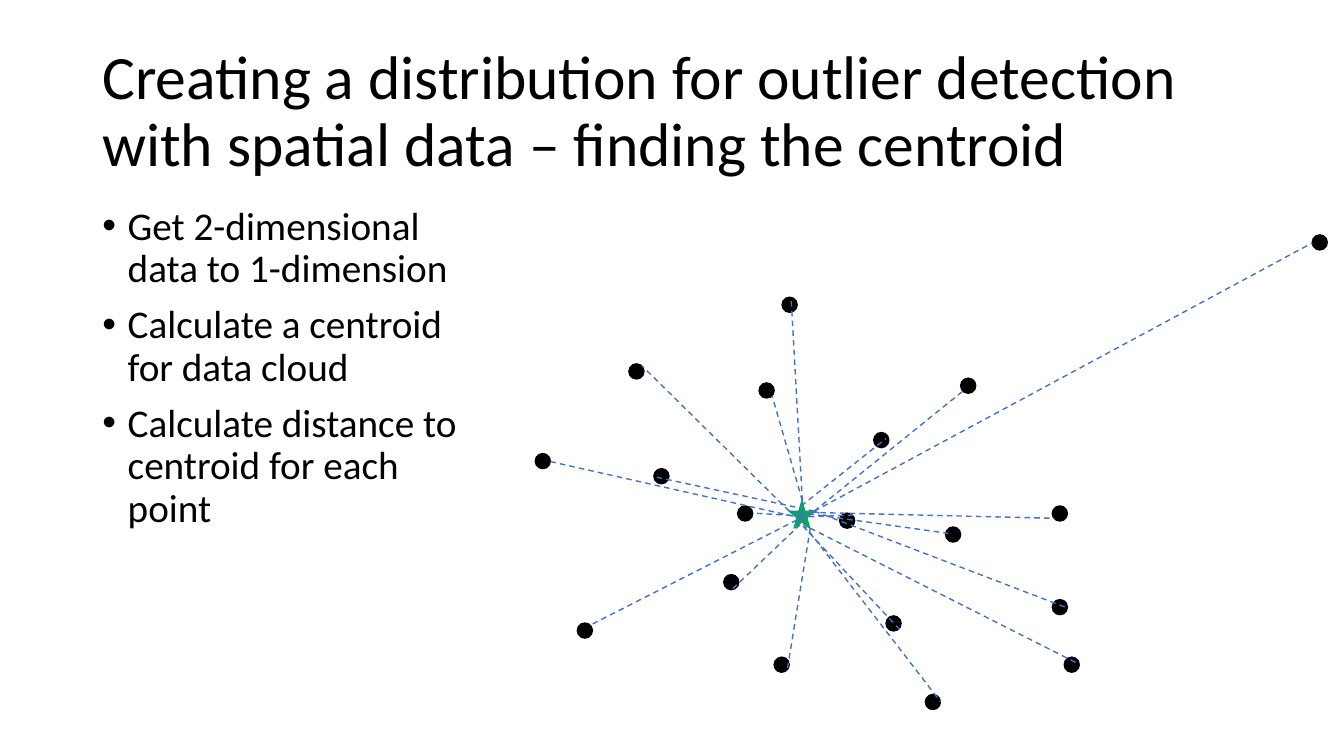
from lxml import etree
from pptx import Presentation
from pptx.dml.color import RGBColor
from pptx.enum.dml import MSO_LINE as Dash
from pptx.enum.shapes import MSO_CONNECTOR as Link, MSO_SHAPE as Shape
from pptx.enum.text import MSO_ANCHOR as Anchor
from pptx.oxml.ns import qn
from pptx.util import Cm, Pt

BLACK, GREEN, BLUE = "000000", "00B050", "4472C4"
DOT = 0.38
INDENT = 0.64

TITLE = ("Creating a distribution for outlier detection "
         "with spatial data – finding the centroid")
STEPS = [
    "Get 2-dimensional data to 1-dimension",
    "Calculate a centroid for data cloud",
    "Calculate distance to centroid for each point",
]

# Left and top of each data point, in cm
POINTS = [
    (14.55, 15.7), (13.49, 11.43), (22.02, 10.9), (18.59, 12.75),
    (22.33, 15.52), (23.83, 13.28), (24.21, 9.53), (26.52, 15.11),
    (18.24, 14.48), (15.85, 9.17), (19.51, 16.56), (19.71, 7.49),
    (19.13, 9.65), (23.32, 17.5), (21.16, 12.93), (26.52, 12.75),
    (26.82, 16.56), (33.07, 5.92), (16.48, 11.81),
]

# Centroid star: box and the tips where lines meet it
STAR = (19.89, 12.62, 0.64, 0.69)
TOP, LEFT, RIGHT, FOOT = (20.22, 12.62), (19.89, 12.88), (20.52, 12.88), (20.42, 13.31)

# Each distance line: end at the centroid, end at the data point
RAYS = [
    (TOP, (19.46, 9.98)), ((20.19, 12.75), (22.33, 11.05)),
    ((20.14, 13.03), (21.49, 12.98)), (FOOT, (19.84, 16.87)),
    (RIGHT, (18.44, 14.86)), ((20.19, 13), (18.97, 12.93)),
    (RIGHT, (24.26, 9.86)), (LEFT, (23.9, 13.44)),
    ((20.07, 13.08), (22.66, 15.85)), (RIGHT, (26.9, 15.32)),
    ((19.94, 12.9), (26.57, 13.06)), (FOOT, (27.2, 16.74)),
    ((20.09, 13), (23.7, 17.68)), (RIGHT, (14.88, 15.75)),
    (RIGHT, (16.48, 12.01)), ((20.22, 13.06), (13.87, 11.63)),
    (LEFT, (16.18, 9.22)), (TOP, (19.94, 7.57)), (RIGHT, (33.07, 6.12)),
]


def color(code):
    return RGBColor.from_string(code)


class Sketch:
    font = "Calibri"
    width = Pt(1)

    def __init__(self, slide):
        self.shapes = slide.shapes

    def text(self, box, lines, size, anchor=Anchor.TOP, bullet=False):
        frame = self.shapes.add_textbox(*map(Cm, box)).text_frame
        frame.word_wrap = True
        frame.vertical_anchor = anchor
        frame.text = "\n".join(lines)
        for i, para in enumerate(frame.paragraphs):
            if bullet:
                self.bullet(para)
            para.line_spacing = 0.9
            para.space_before = Pt(10 if i else 0)
            for run in para.runs:
                run.font.name = self.font
                run.font.size = Pt(size)
                run.font.color.rgb = color(BLACK)

    def bullet(self, para):
        props = para._p.get_or_add_pPr()
        props.set("marL", str(Cm(INDENT)))
        props.set("indent", str(-Cm(INDENT)))
        etree.SubElement(props, qn("a:buFont"), typeface="Arial")
        etree.SubElement(props, qn("a:buChar"), char="•")

    def mark(self, kind, box, code):
        """Add a preset shape filled and outlined in one colour."""
        shape = self.shapes.add_shape(kind, *map(Cm, box))
        shape.shadow.inherit = False
        shape.fill.solid()
        shape.fill.fore_color.rgb = color(code)
        shape.line.color.rgb = color(code)
        shape.line.width = self.width

    def ray(self, start, end):
        """Add a dashed line between two places."""
        link = self.shapes.add_connector(Link.STRAIGHT, *map(Cm, start + end))
        link.line.color.rgb = color(BLUE)
        link.line.width = self.width
        link.line.dash_style = Dash.DASH
        etree.SubElement(link._element.spPr, qn("a:effectLst"))


def main():
    deck = Presentation()
    deck.slide_width, deck.slide_height = Cm(33.87), Cm(19.05)
    sketch = Sketch(deck.slides.add_slide(deck.slide_layouts[6]))

    sketch.text((2.33, 1.01, 29.21, 3.68), [TITLE], 44, Anchor.MIDDLE)
    sketch.text((2.33, 5.07, 9.8, 12.09), STEPS, 28, bullet=True)
    for left, top in POINTS:
        sketch.mark(Shape.OVAL, (left, top, DOT, DOT), BLACK)
    sketch.mark(Shape.STAR_5_POINT, STAR, GREEN)
    for start, end in RAYS:
        sketch.ray(start, end)

    deck.save("out.pptx")


if __name__ == "__main__":
    main()
